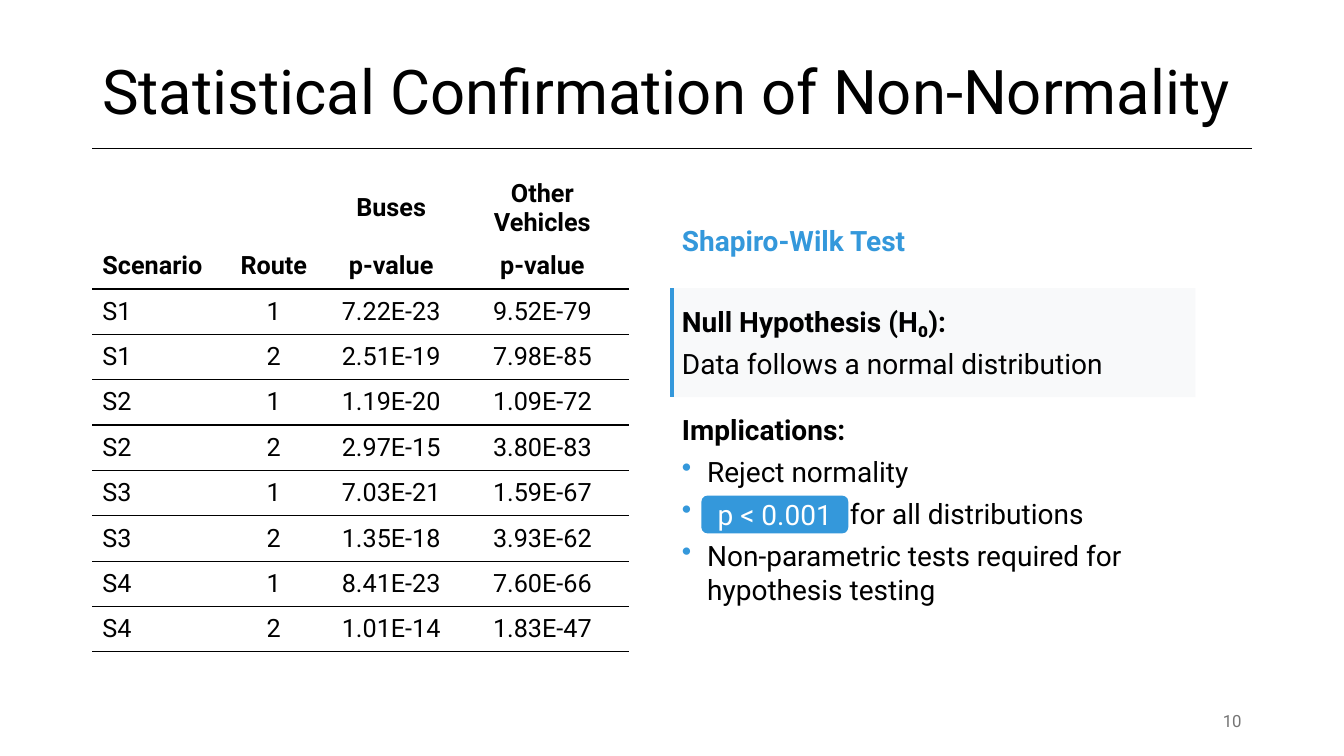
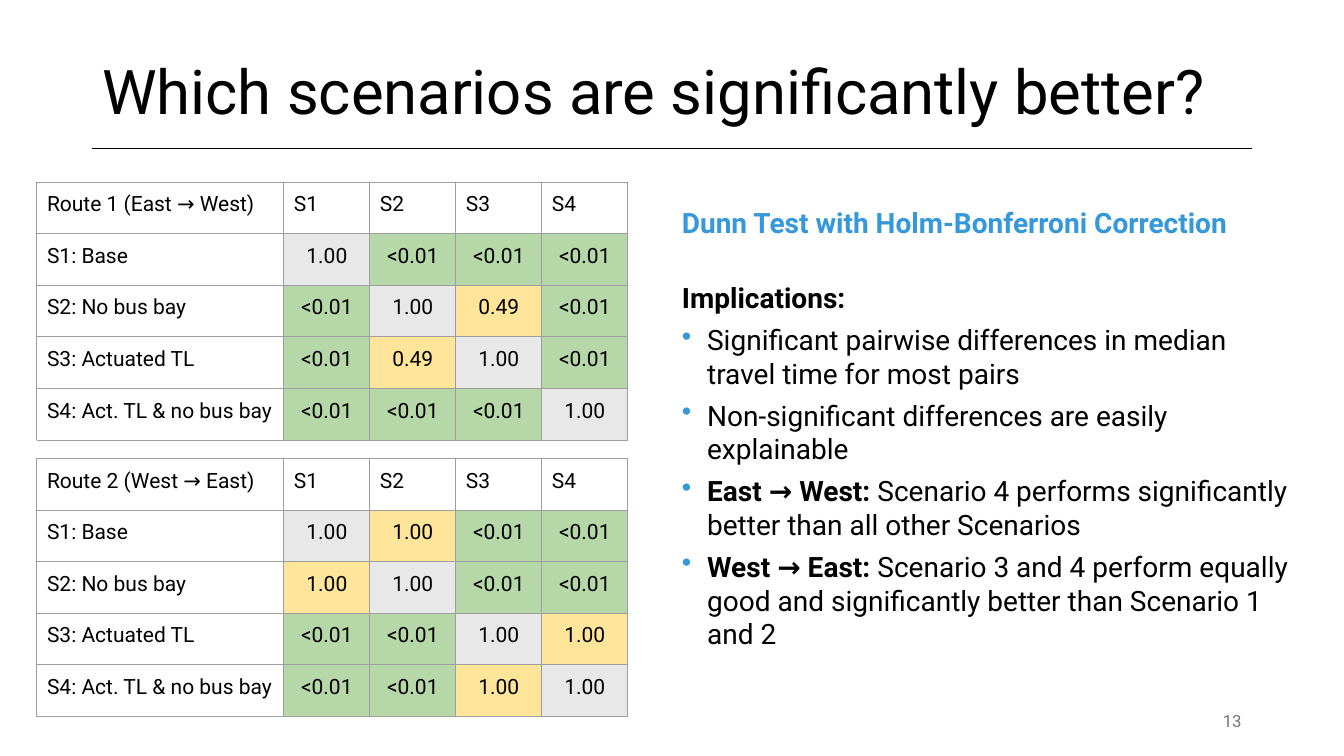
"""Build two slides on statistical tests of travel times."""
from dataclasses import dataclass

from lxml import etree
from pptx import Presentation
from pptx.dml.color import RGBColor
from pptx.enum.shapes import MSO_CONNECTOR, MSO_SHAPE
from pptx.enum.text import MSO_ANCHOR, PP_ALIGN
from pptx.oxml.ns import qn
from pptx.util import Pt

LEFT, MID, RIGHT = PP_ALIGN.LEFT, PP_ALIGN.CENTER, PP_ALIGN.RIGHT
TOP, HALF = MSO_ANCHOR.TOP, MSO_ANCHOR.MIDDLE
RECT, ROUND = MSO_SHAPE.RECTANGLE, MSO_SHAPE.ROUNDED_RECTANGLE
LINE = MSO_CONNECTOR.STRAIGHT
COLS, ROWS = 160, 90
PLAIN = "{2D5ABB26-0587-4C30-8999-92F81FD0307C}"


@dataclass(frozen=True)
class Theme:
    font: str = "Roboto"
    ink: str = "000000"
    paper: str = "FFFFFF"
    blue: str = "3498DB"
    pale: str = "F8F9FA"
    mute: str = "757575"
    rule: str = "9E9E9E"
    same: str = "E8E8E8"
    good: str = "B6D7A8"
    weak: str = "FFE599"
    title: int = 44
    body: int = 20
    table: int = 18
    grid: int = 15
    foot: int = 12


T = Theme()


def unit(n):
    return Pt(6 * n)


def rgb(code):
    return RGBColor.from_string(code)


def write(frame, text, size=T.body, color=T.ink, bold=False, align=LEFT,
          lead="", hang=0, gap=0, pitch=None):
    para = frame.paragraphs[0]
    if para.runs:
        para = frame.add_paragraph()
    if hang:
        props = para._p.get_or_add_pPr()
        props.set("marL", str(unit(hang)))
        props.set("indent", str(-unit(hang)))
        tint = etree.SubElement(props, qn("a:buClr"))
        etree.SubElement(tint, qn("a:srgbClr"), val=T.blue)
        etree.SubElement(props, qn("a:buChar"), char="•")
    para.alignment = align
    if gap:
        para.space_before = Pt(gap)
    if pitch:
        para.line_spacing = pitch
    for part, heavy in ((lead, True), (text, bold)):
        if part:
            run = para.add_run()
            run.text = part
            font = run.font
            font.name, font.size, font.bold = T.font, Pt(size), heavy
            font.color.rgb = rgb(color)


def edge(cell, sides, color, width):
    props = cell._tc.get_or_add_tcPr()
    for side in sides:
        line = etree.SubElement(props, qn("a:ln" + side), w=str(Pt(width)))
        fill = etree.SubElement(line, qn("a:solidFill"))
        etree.SubElement(fill, qn("a:srgbClr"), val=color)


class Deck:
    def __init__(self):
        self.file = Presentation()
        self.file.slide_width = unit(COLS)
        self.file.slide_height = unit(ROWS)

    def page(self, title, number):
        self.slide = self.file.slides.add_slide(self.file.slide_layouts[6])
        self.shapes = self.slide.shapes
        write(self.text(11, 4.8, 138, 13), title, size=T.title, pitch=0.9)
        write(self.text(113, 83.4, 36, 4.8), number, size=T.foot,
              color=T.mute, align=RIGHT)
        self.line(11, 17.7, 149, 17.7)

    def text(self, x, y, w, h, anchor=HALF):
        frame = self.shapes.add_textbox(*map(unit, (x, y, w, h))).text_frame
        frame.word_wrap = True
        frame.vertical_anchor = anchor
        return frame

    def line(self, x, y, right, low, color=T.ink, width=1):
        line = self.shapes.add_connector(LINE, *map(unit, (x, y, right, low)))
        line.line.color.rgb = rgb(color)
        line.line.width = Pt(width)
        etree.SubElement(line._element.spPr, qn("a:effectLst"))

    def box(self, x, y, w, h, color, kind=RECT, inset=None):
        box = self.shapes.add_shape(kind, *map(unit, (x, y, w, h)))
        box.shadow.inherit = False
        box.fill.solid()
        box.fill.fore_color.rgb = rgb(color)
        box.line.fill.background()
        frame = box.text_frame
        frame.word_wrap = True
        frame.vertical_anchor = HALF
        if inset is not None:
            frame.margin_left = frame.margin_right = inset
            frame.margin_top = frame.margin_bottom = inset
        return frame

    def head(self, y, text):
        write(self.text(80, y, 75.2, 8.4), text, color=T.blue, bold=True)

    def points(self, y, w, h, items):
        frame = self.text(80, y, w, h, TOP)
        write(frame, "Implications:", bold=True)
        for lead, text, hang in items:
            write(frame, text, lead=lead, hang=hang, gap=6)

    def table(self, x, y, wide, tall):
        size = len(tall), len(wide)
        area = map(unit, (x, y, sum(wide), sum(tall)))
        table = self.shapes.add_table(*size, *area).table
        table.first_row = table.horz_banding = False
        table._tbl.tblPr.find(qn("a:tableStyleId")).text = PLAIN
        for col, w in zip(table.columns, wide):
            col.width = unit(w)
        for row, h in zip(table.rows, tall):
            row.height = unit(h)
        return table

    def cell(self, cell, text, fill, sides, color, width, **style):
        edge(cell, sides, color, width)
        cell.fill.solid()
        cell.fill.fore_color.rgb = rgb(fill)
        write(cell.text_frame, text, **style)

    def values(self, x, y, rows):
        table = self.table(x, y, [15.36, 12.48, 15.48, 20.52],
                           [8.3] + [5.4] * (len(rows) - 1))
        for r, row in enumerate(rows):
            sides = "B" if r == 1 else "TB" if r else ""
            for c, text in enumerate(row):
                cell = table.cell(r, c)
                cell.vertical_anchor = HALF
                self.cell(cell, text, T.paper, sides, T.ink, 1, size=T.table,
                          bold=r < 2, align=MID if c else LEFT)

    def matrix(self, x, y, title, names, odd):
        count = len(names)
        table = self.table(x, y, [29.4] + [10.24] * count,
                           [6.14] * (count + 1))
        for r in range(count + 1):
            for c in range(count + 1):
                fill, align = T.paper, LEFT
                if r and c:
                    text = odd.get((min(r, c), max(r, c)), "<0.01")
                    fill = T.good if text == "<0.01" else T.weak
                    align = MID
                    if r == c:
                        text, fill = "1.00", T.same
                elif r:
                    text = f"S{r}: {names[r - 1]}"
                else:
                    text = f"S{c}" if c else title
                cell = table.cell(r, c)
                cell.margin_top = cell.margin_bottom = unit(1.2)
                self.cell(cell, text, fill, "LRTB", T.rule, 0.75,
                          size=T.grid, align=align)


def normal(deck):
    deck.page("Statistical Confirmation of Non-Normality", "10")
    pairs = [("7.22E-23", "9.52E-79"), ("2.51E-19", "7.98E-85"),
             ("1.19E-20", "1.09E-72"), ("2.97E-15", "3.80E-83"),
             ("7.03E-21", "1.59E-67"), ("1.35E-18", "3.93E-62"),
             ("8.41E-23", "7.60E-66"), ("1.01E-14", "1.83E-47")]
    rows = [("", "", "Buses", "Other Vehicles"),
            ("Scenario", "Route", "p-value", "p-value")]
    rows += [(f"S{n // 2 + 1}", str(n % 2 + 1), *pair)
             for n, pair in enumerate(pairs)]
    deck.values(11, 20.6, rows)
    note = deck.box(80, 34.3, 62.3, 13, T.pale)
    write(note, "Null Hypothesis (H₀):", bold=True)
    write(note, "Data follows a normal distribution", gap=6)
    deck.line(80, 34.3, 80, 47.3, T.blue, 2.75)
    deck.head(24.4, "Shapiro-Wilk Test")
    deck.points(48.5, 62.3, 29.2, [
        ("", "Reject normality", 3),
        ("", "for all distributions", 20),
        ("", "Non-parametric tests required for hypothesis testing", 3)])
    badge = deck.box(83.5, 59, 17.5, 4.5, T.blue, ROUND, 0)
    write(badge, "p < 0.001", color=T.paper, align=MID)


def better(deck):
    deck.page("Which scenarios are significantly better?", "13")
    deck.head(22.3, "Dunn Test with Holm-Bonferroni Correction")
    deck.points(32.8, 75.2, 45, [
        ("", "Significant pairwise differences in median travel time "
             "for most pairs", 3),
        ("", "Non-significant differences are easily explainable", 3),
        ("East → West: ", "Scenario 4 performs significantly better than "
                          "all other Scenarios", 3),
        ("West → East: ", "Scenario 3 and 4 perform equally good and "
                          "significantly better than Scenario 1 and 2", 3)])
    names = ["Base", "No bus bay", "Actuated TL", "Act. TL & no bus bay"]
    deck.matrix(4.4, 21.7, "Route 1 (East → West)", names, {(2, 3): "0.49"})
    deck.matrix(4.4, 54.6, "Route 2 (West → East)", names,
                {(1, 2): "1.00", (3, 4): "1.00"})


def main():
    deck = Deck()
    normal(deck)
    better(deck)
    deck.file.save("out.pptx")


if __name__ == "__main__":
    main()
